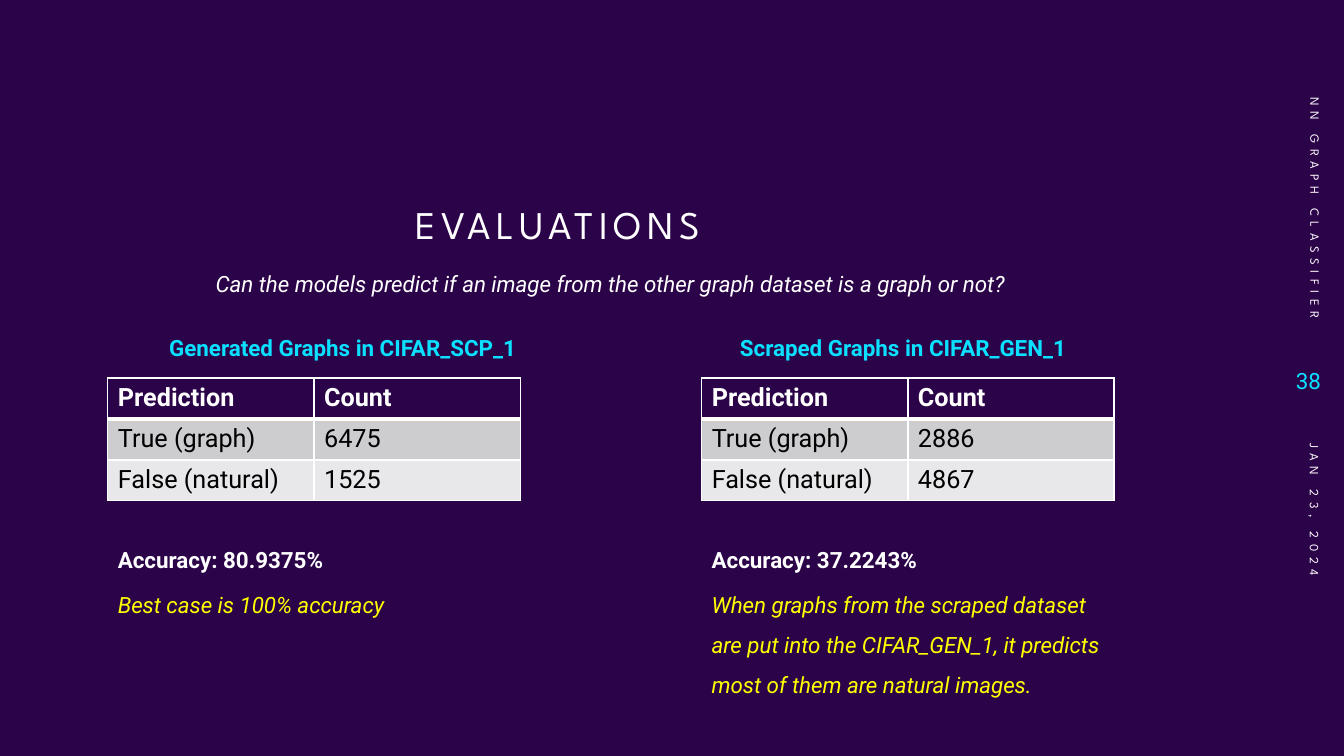
from dataclasses import dataclass

from lxml import etree
from pptx import Presentation
from pptx import util as u
from pptx.dml.color import RGBColor
from pptx.enum import text
from pptx.oxml import ns

PX = 9144  # EMU, 100 px to the inch


@dataclass(frozen=True)
class Theme:
    background: str = "2B0348"
    white: str = "FFFFFF"
    black: str = "000000"
    cyan: str = "0BE1FF"
    yellow: str = "FFFF00"
    bands: tuple = ("CDCCCF", "E8E7E9")
    heading_font: str = "League Spartan"
    body_font: str = "Roboto"
    title_size: int = 28
    table_size: int = 18
    body_size: int = 16
    margin_size: int = 9
    tracking: int = 4


THEME = Theme()


def px(*lengths):
    return [u.Emu(length * PX) for length in lengths]


class SlideBuilder:
    def __init__(self, deck, theme):
        self.theme = theme
        self.page = deck.slides.add_slide(deck.slide_layouts[6])
        fill = self.page.background.fill
        fill.solid()
        fill.fore_color.rgb = RGBColor.from_string(theme.background)

    def add_words(self, para, words, color, tracking=0, **formats):
        span = para.add_run()
        span.text = words
        formats = {"name": self.theme.body_font, "size": self.theme.body_size, **formats}
        formats["size"] = u.Pt(formats["size"])
        for key, value in formats.items():
            setattr(span.font, key, value)
        span.font.color.rgb = RGBColor.from_string(color)
        if tracking:
            span._r.get_or_add_rPr().set("spc", str(tracking * 100))

    def label(self, at, words, color, spacing=1.5, align=text.PP_ALIGN.LEFT,
              anchor=text.MSO_ANCHOR.TOP, rotation=0, **formats):
        box = self.page.shapes.add_textbox(*px(*at))
        box.rotation = rotation
        frame = box.text_frame
        frame.word_wrap = True
        frame.vertical_anchor = anchor
        para = frame.paragraphs[0]
        para.alignment = align
        para.line_spacing = spacing
        self.add_words(para, words, color, **formats)

    def heading(self, at, words, size, **options):
        self.label(at, words, self.theme.white, size=size,
                   name=self.theme.heading_font, tracking=self.theme.tracking, **options)

    def border(self, cell, widths):
        """Draw the left, right, top and bottom edges, widths in points."""
        properties = cell._tc.get_or_add_tcPr()
        for side, width in zip("LRTB", widths):
            line = etree.SubElement(properties, ns.qn(f"a:ln{side}"), w=str(u.Pt(width)))
            fill = etree.SubElement(line, ns.qn("a:solidFill"))
            etree.SubElement(fill, ns.qn("a:srgbClr"), val=self.theme.white)

    def table(self, at, rows):
        theme = self.theme
        grid = self.page.shapes.add_table(len(rows), len(rows[0]), *px(*at)).table
        grid.first_row = True
        grid.horz_banding = False
        for r, row in enumerate(rows):
            header = r == 0
            for c, words in enumerate(row):
                cell = grid.cell(r, c)
                self.border(cell, (1, 1, 3 if r == 1 else 1, 3 if header else 1))
                cell.fill.solid()
                shade = theme.background if header else theme.bands[(r - 1) % 2]
                cell.fill.fore_color.rgb = RGBColor.from_string(shade)
                self.add_words(cell.text_frame.paragraphs[0], words,
                               theme.white if header else theme.black,
                               size=theme.table_size, bold=header)

    def result(self, left, caption_left, caption, counts, accuracy, remark):
        """One column: caption, prediction table, accuracy and remark."""
        theme = self.theme
        self.label((caption_left, 313, 366, 50), caption, theme.cyan, bold=True)
        rows = [("Prediction", "Count"), *zip(("True (graph)", "False (natural)"), counts)]
        self.table((left, 375, 409, 122), rows)
        self.label((left, 524, 366, 50), f"Accuracy: {accuracy}", theme.white, bold=True)
        self.label((left, 568, 410, 164), remark, theme.yellow, italic=True)


def main():
    deck = Presentation()
    deck.slide_width, deck.slide_height = px(1333, 750)
    slide = SlideBuilder(deck, THEME)
    middle, right = text.MSO_ANCHOR.MIDDLE, text.PP_ALIGN.RIGHT

    slide.heading((402, 199, 500, 63), "EVALUATIONS", THEME.title_size, spacing=0.9)
    margin = {"size": THEME.margin_size, "spacing": 1.0, "anchor": middle, "rotation": 90}
    slide.heading((1153, 154, 303, 40), "NN GRAPH CLASSIFIER", align=right, **margin)
    slide.label((1260, 346, 60, 63), "38", THEME.cyan, spacing=1.0, align=right, anchor=middle)
    slide.heading((1159, 555, 290, 40), "JAN 23, 2024", **margin)

    slide.label((204, 250, 864, 50),
                "Can the models predict if an image from the other graph dataset is a graph or not?",
                THEME.white, italic=True)
    slide.result(107, 158, "Generated Graphs in CIFAR_SCP_1", ("6475", "1525"), "80.9375%",
                 "Best case is 100% accuracy")
    slide.result(696, 724, "Scraped Graphs in CIFAR_GEN_1", ("2886", "4867"), "37.2243%",
                 "When graphs from the scraped dataset are put into the CIFAR_GEN_1, "
                 "it predicts most of them are natural images.")
    deck.save("out.pptx")


if __name__ == "__main__":
    main()
